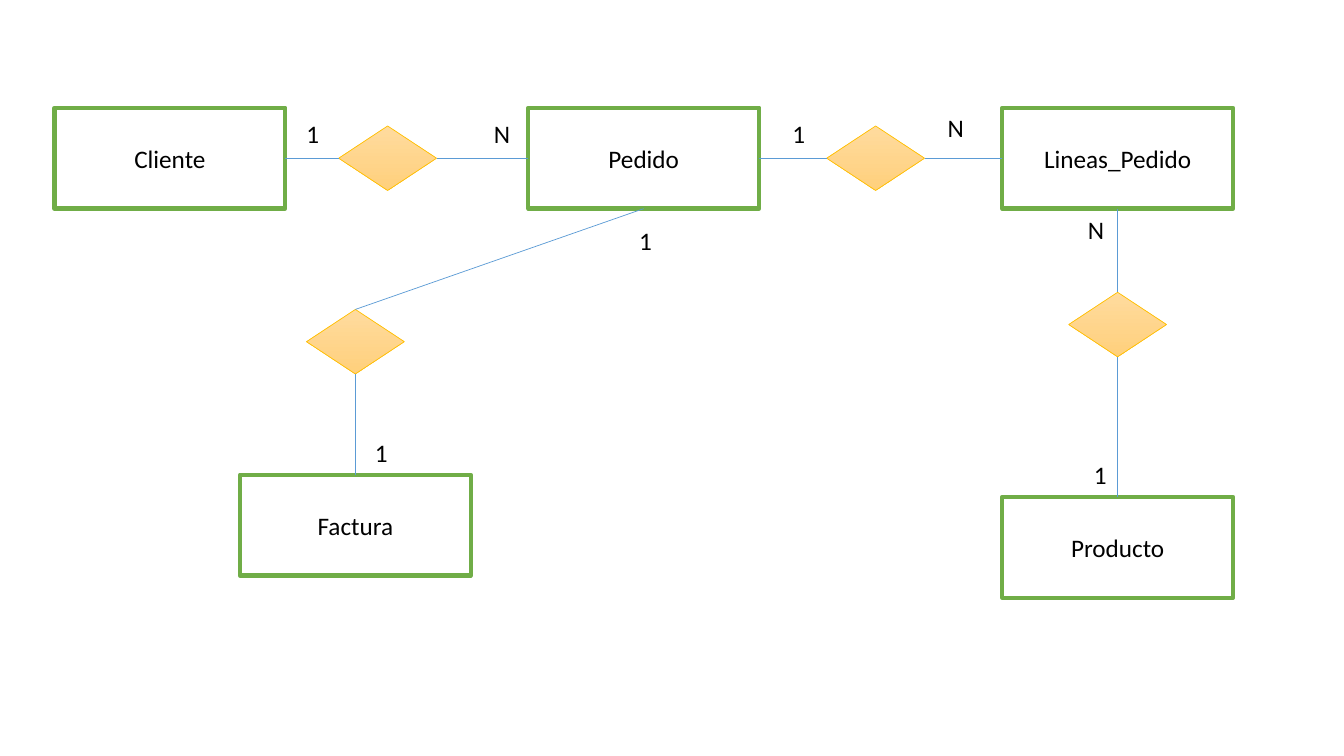
from pptx import Presentation
from pptx import util as u
from pptx.dml.color import RGBColor
from pptx.enum import shapes, text
from pptx.oxml.ns import qn
from lxml import etree

WHITE = RGBColor(0xFF, 0xFF, 0xFF)
BLACK = RGBColor(0, 0, 0)
GREEN = RGBColor(0x70, 0xAD, 0x47)
BLUE = RGBColor(0x5B, 0x9B, 0xD5)
GOLD = RGBColor(0xFF, 0xC0, 0x00)
PALE = RGBColor(0xFF, 0xDB, 0x9E)
DEEP = RGBColor(0xFF, 0xD0, 0x7C)

TOP, LEFT, BOTTOM, RIGHT = range(4)
FONT = {"name": "Calibri", "size": u.Pt(18)}

TABLES = {
    "Cliente": (0.54, 1.07),
    "Pedido": (5.24, 1.07),
    "Lineas_Pedido": (9.94, 1.07),
    "Factura": (2.38, 4.71),
    "Producto": (9.94, 4.93),
}
LINKS = [
    ("Cliente", RIGHT, (3.36, 1.25), LEFT, RIGHT, "Pedido", LEFT),
    ("Pedido", RIGHT, (8.2, 1.25), LEFT, RIGHT, "Lineas_Pedido", LEFT),
    ("Lineas_Pedido", BOTTOM, (10.6, 2.9), TOP, BOTTOM, "Producto", TOP),
    ("Pedido", BOTTOM, (3.04, 3.07), TOP, BOTTOM, "Factura", TOP),
]
MARKS = [
    ("1", 2.94, 1.12), ("N", 4.8, 1.12),
    ("1", 7.76, 1.12), ("N", 9.3, 1.07),
    ("N", 10.69, 2.08), ("1", 10.75, 4.51),
    ("1", 6.24, 2.19), ("1", 3.62, 4.29),
]


def style(item, props):
    for key, value in props.items():
        setattr(item, key, value)


def stroke(item, color, width):
    item.line.color.rgb = color
    item.line.width = u.Pt(width)


def write(frame, words, align):
    para = frame.paragraphs[0]
    para.alignment = align
    run = para.add_run()
    run.text = words
    style(run.font, FONT)
    run.font.color.rgb = BLACK


def add_box(slide, name, left, top):
    box = slide.shapes.add_shape(
        shapes.MSO_SHAPE.RECTANGLE,
        u.Inches(left), u.Inches(top), u.Inches(2.29), u.Inches(1))
    box.shadow.inherit = False
    box.fill.solid()
    box.fill.fore_color.rgb = WHITE
    stroke(box, GREEN, 3)
    box.text_frame.vertical_anchor = text.MSO_ANCHOR.MIDDLE
    write(box.text_frame, name, text.PP_ALIGN.CENTER)
    return box


def add_gem(slide, left, top):
    gem = slide.shapes.add_shape(
        shapes.MSO_SHAPE.DIAMOND,
        u.Inches(left), u.Inches(top), u.Inches(0.97), u.Inches(0.64))
    gem.shadow.inherit = False
    gem.fill.gradient()
    gem.fill.gradient_angle = 270
    for stop, color in zip(gem.fill.gradient_stops, (PALE, DEEP)):
        stop.color.rgb = color
    stroke(gem, GOLD, 0.5)
    return gem


def join(slide, start, side, end, face):
    line = slide.shapes.add_connector(
        shapes.MSO_CONNECTOR.STRAIGHT, 0, 0, 0, 0)
    line.begin_connect(start, side)
    line.end_connect(end, face)
    stroke(line, BLUE, 0.5)
    etree.SubElement(line._element.spPr, qn("a:effectLst"))


def add_mark(slide, words, left, top):
    mark = slide.shapes.add_textbox(
        u.Inches(left), u.Inches(top), u.Inches(0.32), u.Inches(0.4))
    style(mark.text_frame, {
        "word_wrap": True,
        "auto_size": text.MSO_AUTO_SIZE.SHAPE_TO_FIT_TEXT,
    })
    write(mark.text_frame, words, text.PP_ALIGN.LEFT)


def main():
    deck = Presentation()
    style(deck, {"slide_width": u.Inches(13.33),
                 "slide_height": u.Inches(7.5)})
    slide = deck.slides.add_slide(deck.slide_layouts[6])
    boxes = {name: add_box(slide, name, *spot)
             for name, spot in TABLES.items()}
    for start, side, spot, inlet, outlet, end, face in LINKS:
        gem = add_gem(slide, *spot)
        join(slide, boxes[start], side, gem, inlet)
        join(slide, gem, outlet, boxes[end], face)
    for mark in MARKS:
        add_mark(slide, *mark)
    deck.save("out.pptx")


if __name__ == "__main__":
    main()
